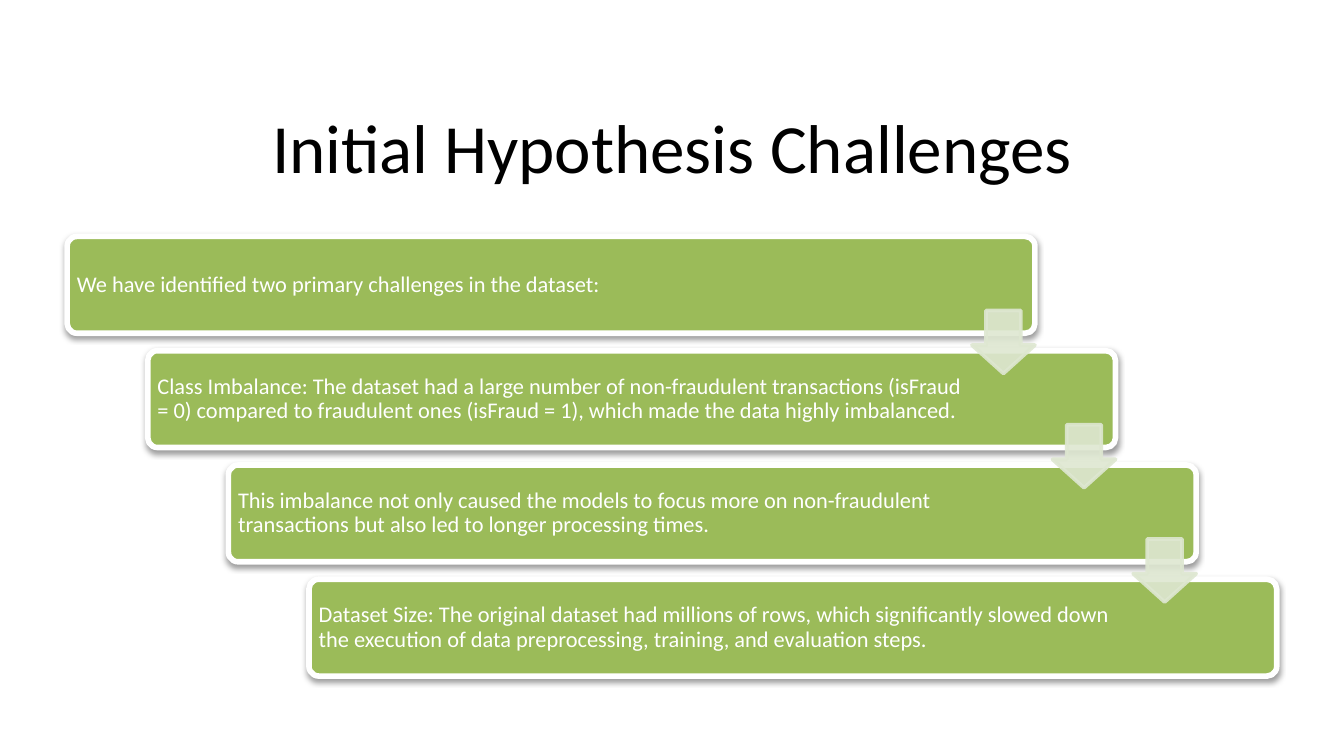
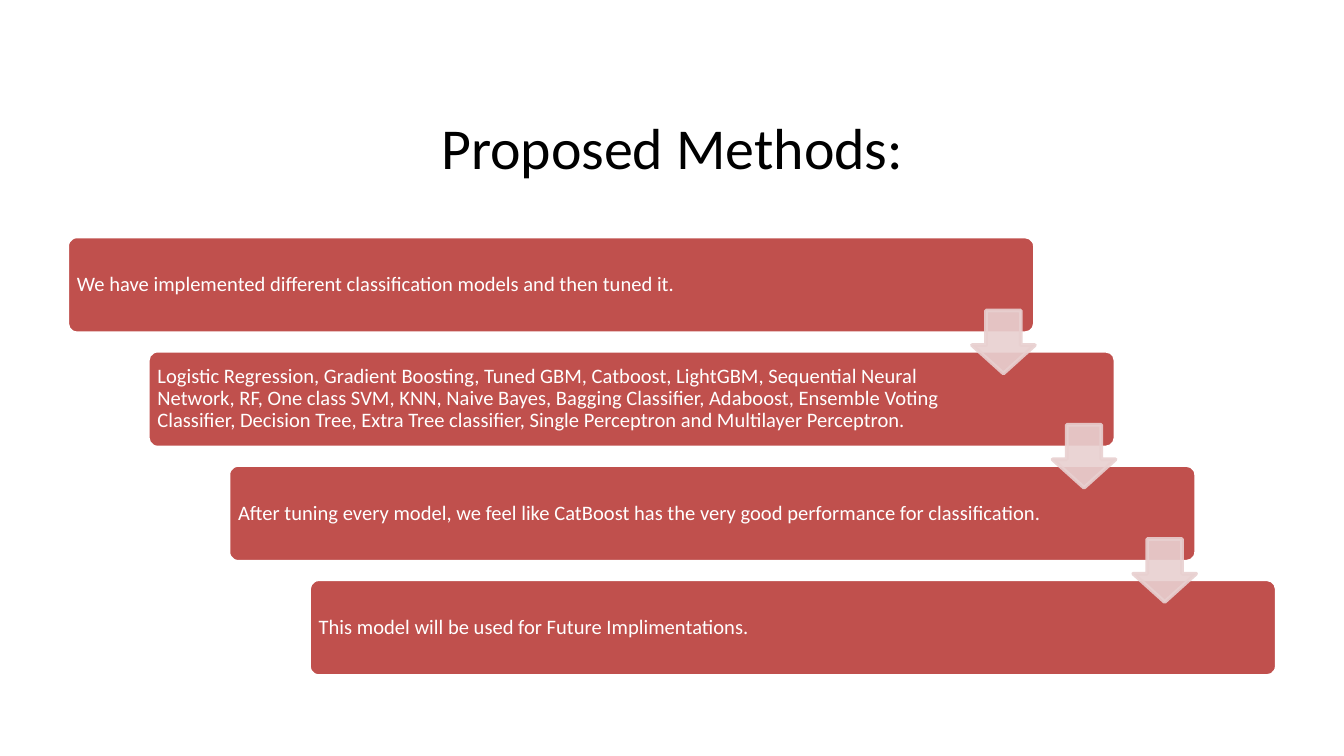
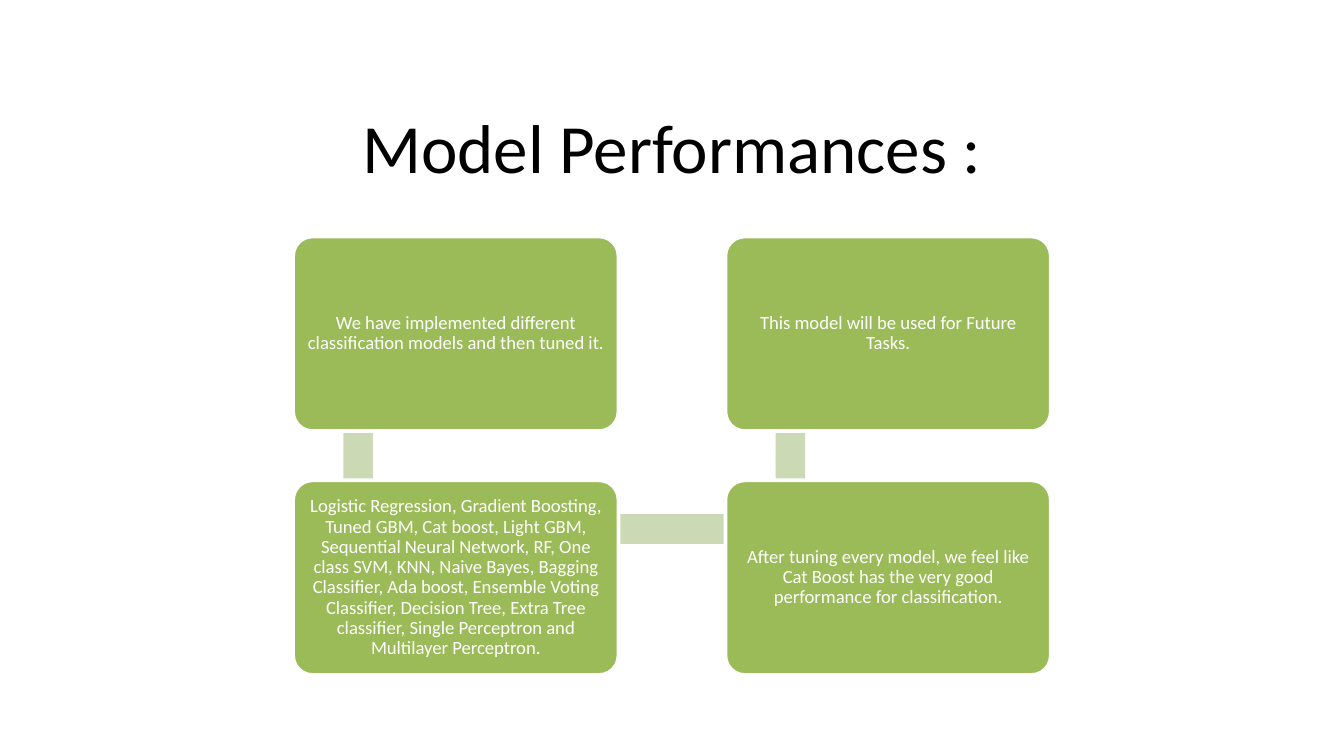
from dataclasses import dataclass
from itertools import pairwise

from lxml import etree
from pptx import Presentation
from pptx.dml.color import RGBColor
from pptx.enum.shapes import MSO_SHAPE
from pptx.enum.text import MSO_ANCHOR, PP_ALIGN
from pptx.oxml.ns import qn
from pptx.util import Cm, Pt

ROUNDED = MSO_SHAPE.ROUNDED_RECTANGLE
RECTANGLE = MSO_SHAPE.RECTANGLE
DOWN_ARROW = MSO_SHAPE.DOWN_ARROW
MIDDLE = MSO_ANCHOR.MIDDLE
LEFT, CENTER = PP_ALIGN.LEFT, PP_ALIGN.CENTER


@dataclass(frozen=True)
class Theme:
    font: str = "Calibri"
    ink: str = "000000"
    white: str = "FFFFFF"
    green: str = "9BBB59"
    green_arrow: str = "DEE7D1"
    green_bar: str = "CBDAB5"
    red: str = "C0504D"
    red_arrow: str = "E8D0D0"
    title_size: int = 37
    small_title_size: int = 31
    large_step_size: int = 12
    step_size: int = 11
    tile_size: int = 10
    line_spacing: float = 0.9
    arrow_opacity: int = 90
    shadow_opacity: int = 38


@dataclass(frozen=True)
class Box:
    left: float
    top: float
    width: float
    height: float

    @property
    def right(self):
        return self.left + self.width

    @property
    def bottom(self):
        return self.top + self.height

    def lengths(self):
        return [Cm(value) for value in (self.left, self.top, self.width, self.height)]


THEME = Theme()
TITLE_BOX = Box(1.27, 1.96, 22.86, 1.78)
STAIRCASE_BOX = Box(1.27, 4.47, 22.86, 8.31)
TILES_BOX = Box(5.54, 4.47, 14.32, 8.29)

CHALLENGES = [
    "We have identified two primary challenges in the dataset:",
    "Class Imbalance: The dataset had a large number of non-fraudulent transactions "
    "(isFraud = 0) compared to fraudulent ones (isFraud = 1), which made the data "
    "highly imbalanced.",
    "This imbalance not only caused the models to focus more on non-fraudulent "
    "transactions but also led to longer processing times.",
    "Dataset Size: The original dataset had millions of rows, which significantly "
    "slowed down the execution of data preprocessing, training, and evaluation steps.",
]
METHODS = [
    "We have implemented different classification models and then tuned it.",
    "Logistic Regression, Gradient Boosting, Tuned GBM, Catboost, LightGBM, Sequential "
    "Neural Network, RF, One class SVM, KNN, Naive Bayes, Bagging Classifier, Adaboost, "
    "Ensemble Voting Classifier, Decision Tree, Extra Tree classifier, Single Perceptron "
    "and Multilayer Perceptron.",
    "After tuning every model, we feel like CatBoost has the very good performance for "
    "classification.",
    "This model will be used for Future Implimentations.",
]
PERFORMANCES = [
    METHODS[0],
    "Logistic Regression, Gradient Boosting, Tuned GBM, Cat boost, Light GBM, Sequential "
    "Neural Network, RF, One class SVM, KNN, Naive Bayes, Bagging Classifier, Ada boost, "
    "Ensemble Voting Classifier, Decision Tree, Extra Tree classifier, Single Perceptron "
    "and Multilayer Perceptron.",
    "After tuning every model, we feel like Cat Boost has the very good performance for "
    "classification.",
    "This model will be used for Future Tasks.",
]


def write_text(shape, text, size, color, alignment, margin, right_margin):
    frame = shape.text_frame
    frame.text = text
    frame.word_wrap = True
    frame.vertical_anchor = MIDDLE
    frame.margin_left = frame.margin_top = frame.margin_bottom = Cm(margin)
    frame.margin_right = Cm(right_margin)
    paragraph = frame.paragraphs[0]
    paragraph.alignment = alignment
    paragraph.line_spacing = THEME.line_spacing
    font = paragraph.runs[0].font
    font.name = THEME.font
    font.size = Pt(size)
    font.color.rgb = RGBColor.from_string(color)


def add_block(slide, kind, box, fill, line=None, line_width=2):
    shape = slide.shapes.add_shape(kind, *box.lengths())
    shape.shadow.inherit = False
    shape.fill.solid()
    shape.fill.fore_color.rgb = RGBColor.from_string(fill)
    if line:
        shape.line.color.rgb = RGBColor.from_string(line)
        shape.line.width = Pt(line_width)
    else:
        shape.line.fill.background()
    return shape


def add_card(slide, box, fill, line_width):
    card = add_block(slide, ROUNDED, box, fill, THEME.white, line_width)
    card.adjustments[0] = 0.1
    return card


def set_opacity(color_element, percent):
    etree.SubElement(color_element, qn("a:alpha"), val=str(percent * 1000))


def add_drop_shadow(shape):
    effects = shape.element.spPr.find(qn("a:effectLst"))
    shadow = etree.SubElement(
        effects, qn("a:outerShdw"), blurRad="40000", dist="20000", dir="5400000", rotWithShape="0"
    )
    color = etree.SubElement(shadow, qn("a:srgbClr"), val=THEME.ink)
    set_opacity(color, THEME.shadow_opacity)


def add_title(slide, box, text, size):
    title = slide.shapes.add_textbox(*box.lengths())
    write_text(title, text, size, THEME.ink, CENTER, 0.25, 0.25)


def add_arrow(slide, box, color):
    arrow = add_block(slide, DOWN_ARROW, box, color, color)
    arrow.adjustments[0] = 0.55
    arrow.adjustments[1] = 0.45
    for color_element in arrow.element.spPr.iter(qn("a:srgbClr")):
        set_opacity(color_element, THEME.arrow_opacity)


def add_staircase(slide, box, steps, fill, arrow_color, size, line_width, shadowed):
    width, height, arrow_side = 18.29, 1.83, 1.19
    shift = (box.width - width) / (len(steps) - 1)
    drop = (box.height - height) / (len(steps) - 1)
    step_boxes = [
        Box(box.left + index * shift, box.top + index * drop, width, height)
        for index in range(len(steps))
    ]
    for index, (step_box, text) in enumerate(zip(step_boxes, steps)):
        card = add_card(slide, step_box, fill, line_width)
        right_margin = 2.84 if index else 2.16
        write_text(card, text, size, THEME.white, LEFT, 0.13, right_margin)
        if shadowed:
            add_drop_shadow(card)
    for upper, lower in pairwise(step_boxes):
        gap_middle = (upper.bottom + lower.top) / 2
        arrow_box = Box(
            upper.right - arrow_side, gap_middle - arrow_side / 2, arrow_side, arrow_side
        )
        add_arrow(slide, arrow_box, arrow_color)


def add_tiles(slide, box, texts):
    width, height, bar = 6.15, 3.68, 0.56
    right_column, lower_row = box.right - width, box.bottom - height
    corners = [
        (box.left, box.top),
        (box.left, lower_row),
        (right_column, lower_row),
        (right_column, box.top),
    ]
    anchors = [(left + width / 5, top + height / 4) for left, top in corners]
    for (start_x, start_y), (end_x, end_y) in pairwise(anchors):
        bar_box = Box(
            min(start_x, end_x) - (bar / 2 if start_x == end_x else 0),
            min(start_y, end_y) - (bar / 2 if start_y == end_y else 0),
            abs(end_x - start_x) or bar,
            abs(end_y - start_y) or bar,
        )
        add_block(slide, RECTANGLE, bar_box, THEME.green_bar)
    for (left, top), text in zip(corners, texts):
        tile = add_card(slide, Box(left, top, width, height), THEME.green, 2)
        write_text(tile, text, THEME.tile_size, THEME.white, CENTER, 0.1, 0.1)


def add_slide(presentation, title, title_size=THEME.title_size):
    slide = presentation.slides.add_slide(presentation.slide_layouts[6])
    add_title(slide, TITLE_BOX, title, title_size)
    return slide


def main():
    presentation = Presentation()
    presentation.slide_width = Cm(25.4)
    presentation.slide_height = Cm(14.29)

    slide = add_slide(presentation, "Initial Hypothesis Challenges")
    add_staircase(
        slide, STAIRCASE_BOX, CHALLENGES, THEME.green, THEME.green_arrow,
        THEME.large_step_size, line_width=3, shadowed=True,
    )

    slide = add_slide(presentation, "Proposed Methods:", THEME.small_title_size)
    add_staircase(
        slide, STAIRCASE_BOX, METHODS, THEME.red, THEME.red_arrow,
        THEME.step_size, line_width=2, shadowed=False,
    )

    slide = add_slide(presentation, "Model Performances :")
    add_tiles(slide, TILES_BOX, PERFORMANCES)

    presentation.save("out.pptx")


if __name__ == "__main__":
    main()
